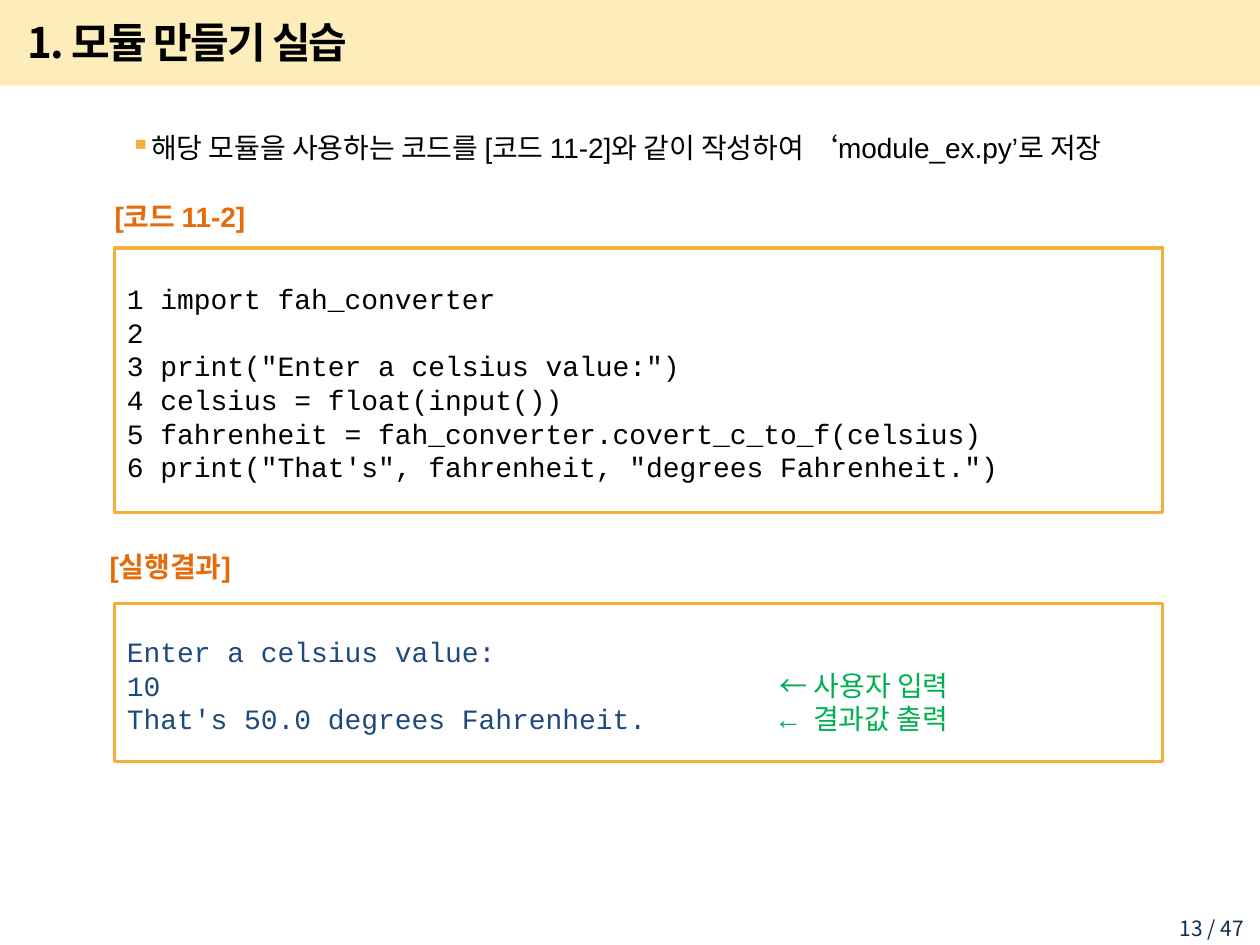
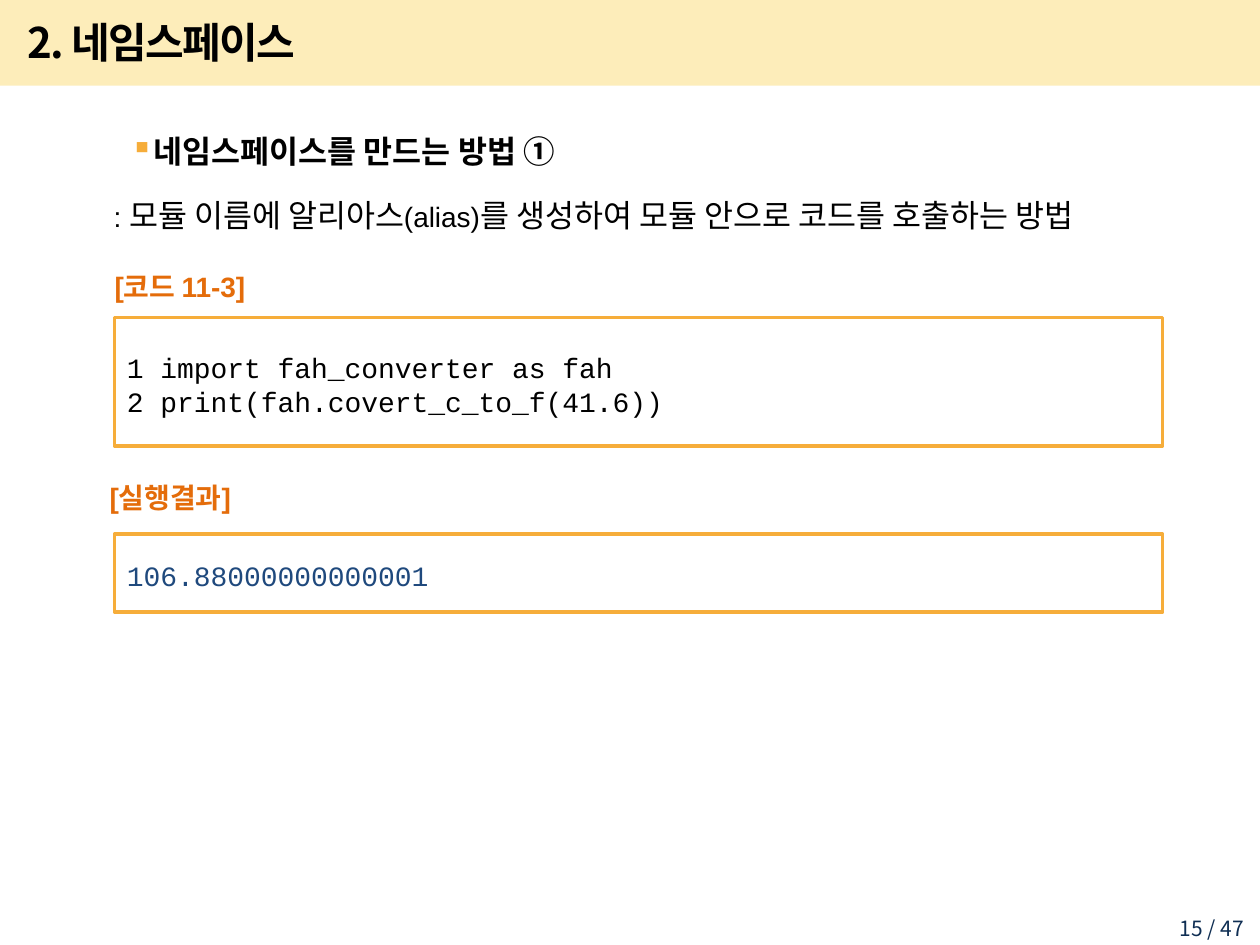
import pptx
import pptx.dml.color
import pptx.enum.shapes
import pptx.enum.text
import pptx.oxml
import pptx.oxml.ns
import pptx.util

Cm = pptx.util.Cm
Pt = pptx.util.Pt
MIDDLE = pptx.enum.text.MSO_ANCHOR.MIDDLE
LEFT = pptx.enum.text.PP_ALIGN.LEFT
RIGHT = pptx.enum.text.PP_ALIGN.RIGHT


def color(hex_text):
    return pptx.dml.color.RGBColor.from_string(hex_text)


def add_xml(parent, tag, **attributes):
    element = pptx.oxml.parse_xml(f"<a:{tag} {pptx.oxml.ns.nsdecls('a')}/>")
    for name, value in attributes.items():
        element.set(name, str(value))
    parent.append(element)
    return element


class LectureDeck:
    BLACK, ORANGE, AMBER = "000000", "E46C0A", "F6AD3A"
    BLUE, NAVY, GREEN, GOLD = "1F497D", "0F2E53", "00B050", "FABE00"
    SANS, KOREAN, MONO = "Arial", "Noto Sans CJK KR", "Courier New"
    WIDTH, PAGE_COUNT = 25.4, 47
    CODE_LEFT, CODE_WIDTH = 2.31, 21.13

    def __init__(self):
        self.deck = pptx.Presentation()
        self.deck.slide_width, self.deck.slide_height = Cm(self.WIDTH), Cm(19.05)
        self.slide = None

    def start_slide(self, title, number):
        self.slide = self.deck.slides.add_slide(self.deck.slide_layouts[6])
        band = self.rectangle(0, 0, self.WIDTH, 1.73)
        band.fill.solid()
        band.fill.fore_color.rgb = color(self.GOLD)
        band.line.fill.background()
        band_color = band._element.spPr.find(".//" + pptx.oxml.ns.qn("a:srgbClr"))
        add_xml(band_color, "alpha", val=27000)

        footer = self.text_box(22.99, 18.34, 2.34, 0.58)
        para = footer.paragraphs[0]
        para.alignment = RIGHT
        self.add_span(para, f"{number} / {self.PAGE_COUNT}", font=self.KOREAN, size=12, fill=self.NAVY)

        heading = self.text_box(0.3, 0.18, 21.62, 1.32, anchor=MIDDLE)
        self.add_span(heading.paragraphs[0], title, font=self.KOREAN, size=24, bold=True, spacing=-100)

    def rectangle(self, left, top, width, height):
        box = self.slide.shapes.add_shape(
            pptx.enum.shapes.MSO_SHAPE.RECTANGLE, Cm(left), Cm(top), Cm(width), Cm(height))
        box.shadow.inherit = False
        return box

    def text_box(self, left, top, width, height, anchor=None):
        frame = self.slide.shapes.add_textbox(Cm(left), Cm(top), Cm(width), Cm(height)).text_frame
        frame.word_wrap = True
        frame.vertical_anchor = anchor
        return frame

    def add_span(self, para, text, font=SANS, size=16, fill=BLACK, bold=False, spacing=0):
        """Append one formatted span; spacing is in hundredths of a point."""
        span = para.add_run()
        span.text = text
        span.font.name, span.font.size, span.font.bold = font, Pt(size), bold
        span.font.color.rgb = color(fill)
        properties = span._r.get_or_add_rPr()
        add_xml(properties, "ea", typeface=self.KOREAN)
        if spacing:
            properties.set("spc", str(spacing))

    def body(self, *paragraphs):
        """Add a bulleted paragraph and plain ones, each a list of (text, format)."""
        frame = self.text_box(0.89, 2.13, 23.24, 16.41)
        for index, spans in enumerate(paragraphs):
            para = frame.paragraphs[0] if index == 0 else frame.add_paragraph()
            largest = max(style.get("size", 16) for _, style in spans)
            properties = para._p.get_or_add_pPr()
            if index == 0:
                properties.set("marL", str(Cm(0.99)))
                properties.set("indent", str(Cm(0.5)))
                bullet_color = add_xml(properties, "buClr")
                add_xml(bullet_color, "srgbClr", val=self.AMBER)
                add_xml(properties, "buChar", char="▪")
            else:
                properties.set("marL", str(Cm(1.15)))
                para.space_before = Pt(0.2 * largest)
            para.line_spacing = Pt(round(1.85 * largest))
            for text, style in spans:
                self.add_span(para, text, **style)

    def label(self, text, left, top, height):
        frame = self.text_box(left, top, 3.99, height, anchor=MIDDLE)
        self.add_span(frame.paragraphs[0], text, fill=self.ORANGE, bold=True)

    def listing(self, top, height, lines, fill):
        """Frame monospaced lines; a line may be a (text, remark, remark font) tuple."""
        box = self.rectangle(self.CODE_LEFT, top, self.CODE_WIDTH, height)
        box.fill.background()
        box.line.color.rgb = color(self.AMBER)
        box.line.width = Pt(2)
        frame = box.text_frame
        frame.word_wrap = True
        frame.vertical_anchor = MIDDLE
        frame.margin_top = Cm(0.22)
        for index, line in enumerate(lines):
            para = frame.paragraphs[0] if index == 0 else frame.add_paragraph()
            para.alignment = LEFT
            para.line_spacing = Pt(19.2)
            if isinstance(line, str):
                self.add_span(para, line, font=self.MONO, fill=fill)
                continue
            text, remark, remark_font = line
            tabs = add_xml(para._p.get_or_add_pPr(), "tabLst")
            add_xml(tabs, "tab", pos=Cm(13.16), algn="l")
            self.add_span(para, text + "\t", font=self.MONO, fill=fill)
            self.add_span(para, remark, font=remark_font, fill=self.GREEN)

    def code(self, name, top, height, lines):
        self.label(f"[{name}]", 2.06, top - 1.27, 1.27)
        numbered = [f"{number} {line}".rstrip() for number, line in enumerate(lines, 1)]
        self.listing(top, height, numbered, self.BLACK)

    def result(self, top, height, lines):
        self.label("[실행결과]", 1.96, top - 1.45, 1.4)
        self.listing(top, height, lines, self.BLUE)


def add_module_slide(lecture):
    lecture.start_slide("1. 모듈 만들기 실습", 13)
    lecture.body([("해당 모듈을 사용하는 코드를 [코드 11-2]와 같이 작성하여 ‘module_ex.py’로 저장", {})])
    lecture.code("코드 11-2", 5, 5.33, [
        "import fah_converter",
        "",
        'print("Enter a celsius value:")',
        "celsius = float(input())",
        "fahrenheit = fah_converter.covert_c_to_f(celsius)",
        'print("That\'s", fahrenheit, "degrees Fahrenheit.")',
    ])
    lecture.result(12.17, 3.18, [
        "Enter a celsius value:",
        ("10", "← 사용자 입력", lecture.KOREAN),
        ("That's 50.0 degrees Fahrenheit.", "← 결과값 출력", lecture.MONO),
    ])


def add_namespace_slide(lecture):
    lecture.start_slide("2. 네임스페이스", 15)
    large = {"size": 18}
    lecture.body(
        [("네임스페이스를 만드는 방법 ①", {"size": 18, "bold": True})],
        [(": ", {}), ("모듈 이름에 알리아스", large), ("(alias)", {}),
         ("를 생성하여 모듈 안으로 코드를 호출하는 방법", large)],
    )
    lecture.code("코드 11-3", 6.4, 2.59, [
        "import fah_converter as fah",
        "print(fah.covert_c_to_f(41.6))",
    ])
    lecture.result(10.77, 1.57, ["106.88000000000001"])


def main():
    lecture = LectureDeck()
    add_module_slide(lecture)
    add_namespace_slide(lecture)
    lecture.deck.save("out.pptx")


if __name__ == "__main__":
    main()
